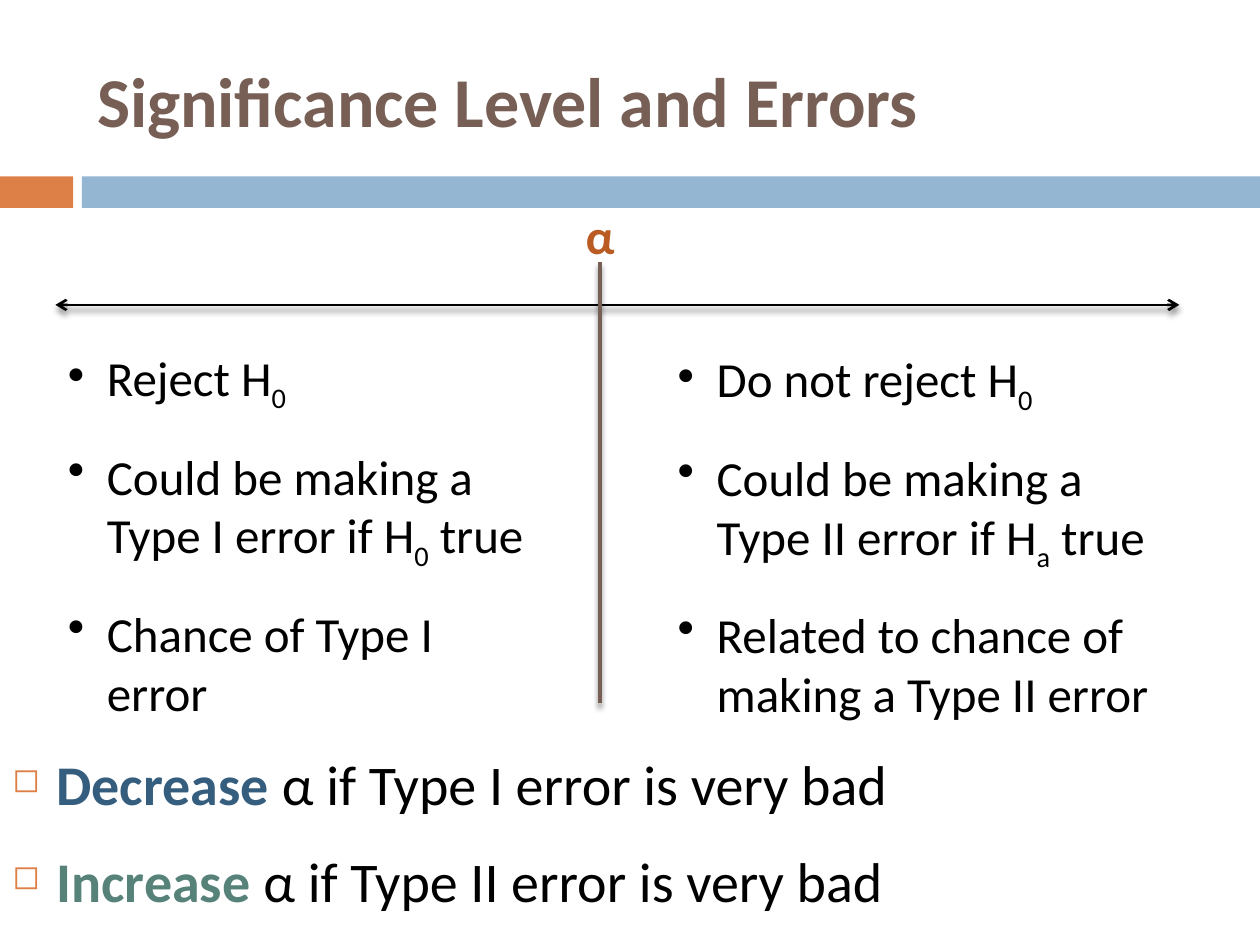
from dataclasses import dataclass

from lxml import etree
from pptx import Presentation
from pptx import util as u
from pptx.dml.color import RGBColor
from pptx.enum import shapes, text
from pptx.oxml.ns import qn


@dataclass(frozen=True)
class Theme:
    font: str = "Calibri"
    brown: str = "775F55"
    orange: str = "DD8047"
    rust: str = "B95B22"
    light_blue: str = "94B6D2"
    blue: str = "355D7E"
    green: str = "578279"
    black: str = "000000"
    title: int = 40
    body: int = 28
    advice: int = 32


def add_xml(parent, tag, **attrs):
    return etree.SubElement(parent, qn(tag), {k: str(v) for k, v in attrs.items()})


class SlideBuilder:
    def __init__(self, prs, theme):
        self.theme = theme
        self.s = prs.slides.add_slide(prs.slide_layouts[5])

    def style(self, r, size, color, bold=False):
        r.font.name, r.font.size, r.font.bold = self.theme.font, u.Pt(size), bold
        r.font.color.rgb = RGBColor.from_string(color)

    def place(self, sp, box):
        sp.left, sp.top, sp.width, sp.height = map(u.Inches, box)

    def title(self, box, words):
        sp = self.s.shapes.title
        self.place(sp, box)
        tf = sp.text_frame
        tf.text = words
        tf.vertical_anchor = text.MSO_ANCHOR.MIDDLE
        p = tf.paragraphs[0]
        p.alignment = text.PP_ALIGN.LEFT
        self.style(p.runs[0], self.theme.title, self.theme.brown, True)

    def bar(self, box, color):
        sp = self.s.shapes.add_shape(shapes.MSO_SHAPE.RECTANGLE, *map(u.Inches, box))
        sp.shadow.inherit = False
        sp.fill.solid()
        sp.fill.fore_color.rgb = RGBColor.from_string(color)
        sp.line.fill.background()

    def line(self, ends, color, width, arrows=False):
        """Draw a line with a soft shadow below it, with arrowheads at both ends if asked."""
        cx = self.s.shapes.add_connector(shapes.MSO_CONNECTOR.STRAIGHT, *map(u.Inches, ends))
        cx.line.width = u.Pt(width)
        cx.line.color.rgb = RGBColor.from_string(color)
        if arrows:
            ln = cx.line._get_or_add_ln()
            for tag in ("a:headEnd", "a:tailEnd"):
                add_xml(ln, tag, type="arrow")
        effects = add_xml(cx._element.spPr, "a:effectLst")
        shadow = add_xml(effects, "a:outerShdw", blurRad=u.Pt(3), dist=u.Pt(2.4),
                         dir=90 * 60000, rotWithShape=0)
        add_xml(add_xml(shadow, "a:srgbClr", val=self.theme.black), "a:alpha", val=45000)

    def text_box(self, box):
        tf = self.s.shapes.add_textbox(*map(u.Inches, box)).text_frame
        tf.word_wrap = True
        tf.auto_size = text.MSO_AUTO_SIZE.SHAPE_TO_FIT_TEXT
        return tf

    def label(self, box, words, color):
        p = self.text_box(box).paragraphs[0]
        p.text = words
        self.style(p.runs[0], self.theme.body, color, True)

    def bullet(self, p, char, indent, color=None, percent=100):
        pPr = p._p.get_or_add_pPr()
        pPr.set("marL", str(u.Inches(indent)))
        pPr.set("indent", str(-u.Inches(indent)))
        if color:
            add_xml(add_xml(pPr, "a:buClr"), "a:srgbClr", val=color)
        add_xml(pPr, "a:buSzPct", val=percent * 1000)
        add_xml(pPr, "a:buChar", char=char)
        p.space_after = u.Pt(18)

    def bullet_list(self, box, items):
        """Each item is a list of strings; every second string is a subscript."""
        tf = self.text_box(box)
        for i, item in enumerate(items):
            p = tf.add_paragraph() if i else tf.paragraphs[0]
            self.bullet(p, "•", 0.31)
            for j, words in enumerate(item):
                r = p.add_run()
                r.text = words
                self.style(r, self.theme.body, self.theme.black)
                if j % 2:
                    r.font._element.set("baseline", "-25000")

    def advice(self, box, items):
        """Each item is a coloured bold lead word, its colour and the rest of the line."""
        tf = self.text_box(box)
        for i, (lead, color, rest) in enumerate(items):
            p = tf.add_paragraph() if i else tf.paragraphs[0]
            self.bullet(p, "◻", 0.35, self.theme.orange, 60)
            p.line_spacing = 0.8
            if i:
                p.space_before = u.Pt(7)
            for words, c, bold in ((lead, color, True), (rest, self.theme.black, False)):
                r = p.add_run()
                r.text = words
                self.style(r, self.theme.advice, c, bold)


def main():
    prs = Presentation()
    prs.slide_width, prs.slide_height = u.Inches(10), u.Inches(7.5)
    t = Theme()
    b = SlideBuilder(prs, t)

    b.bar((0, 1.4, 0.58, 0.25), t.orange)
    b.bar((0.65, 1.4, 9.35, 0.25), t.light_blue)
    b.title((0.67, 0.25, 8.92, 1.08), "Significance Level and Errors")

    b.line((0.44, 2.42, 9.36, 2.42), t.black, 1.5, arrows=True)
    b.line((4.76, 2.08, 4.76, 5.58), t.brown, 2)
    b.label((4.55, 1.58, 0.52, 0.57), "α", t.rust)

    b.bullet_list((0.44, 2.71, 3.92, 2.96), [
        ["Reject H", "0"],
        ["Could be making a Type I error if H", "0", " true"],
        ["Chance of Type I error"],
    ])
    b.bullet_list((5.28, 2.72, 4.08, 2.96), [
        ["Do not reject H", "0"],
        ["Could be making a Type II error if H", "a", " true"],
        ["Related to chance of making a Type II error"],
    ])
    b.advice((0, 6, 10, 1.32), [
        ("Decrease ", t.blue, "α if Type I error is very bad"),
        ("Increase ", t.green, "α if Type II error is very bad"),
    ])
    prs.save("out.pptx")


if __name__ == "__main__":
    main()
